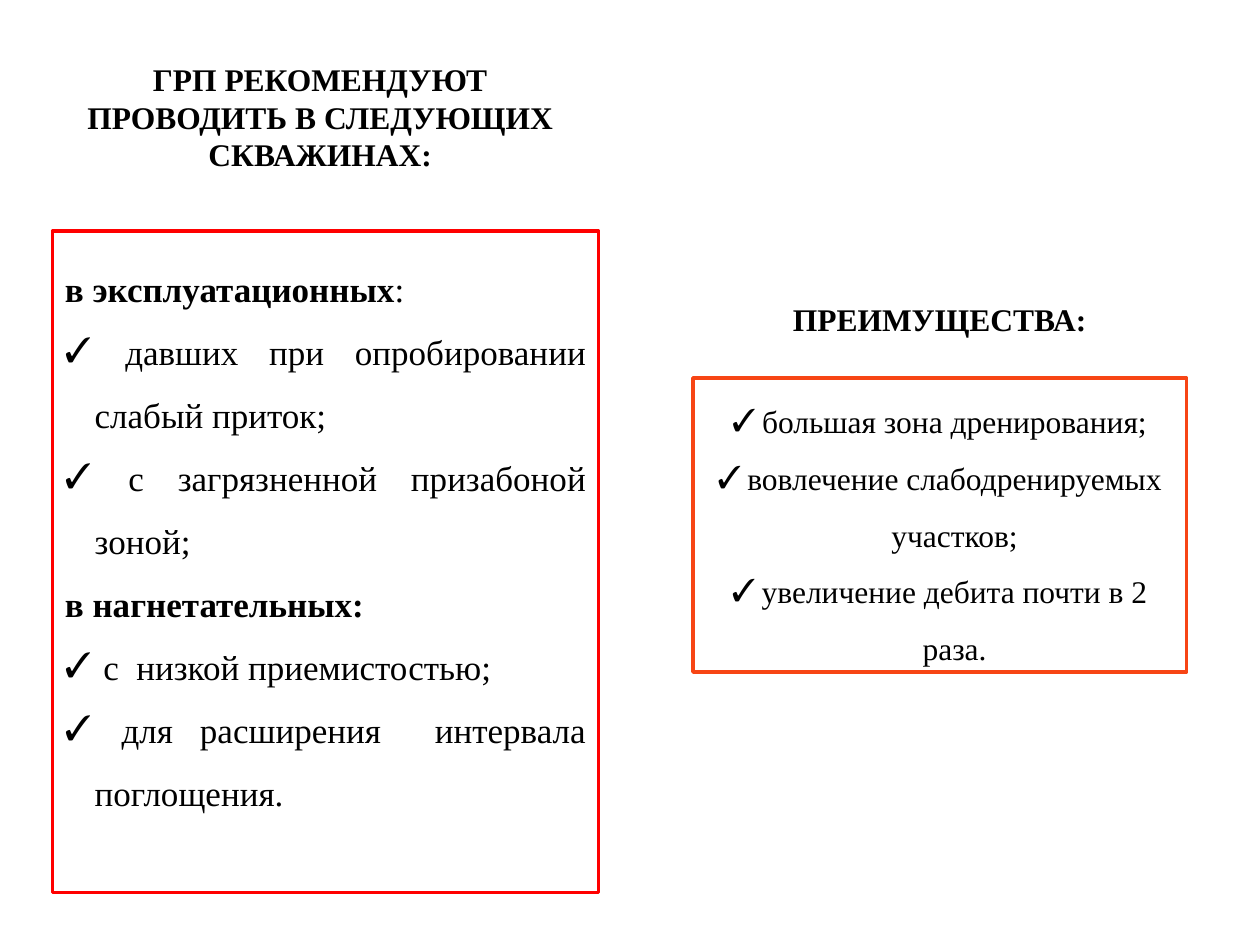
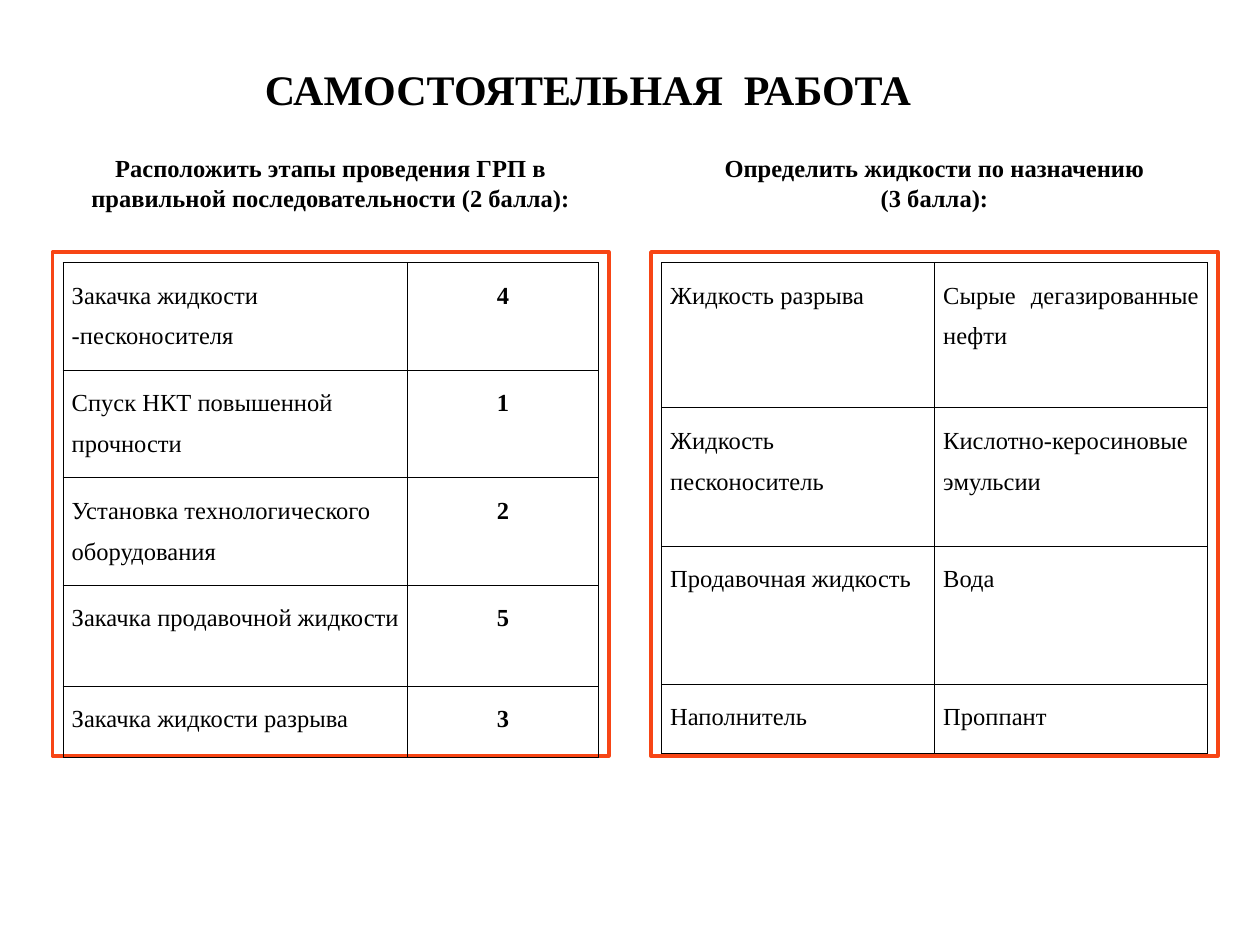
"""Two slides on hydraulic fracturing: where it applies, and a self-study task."""
from lxml import etree
from pptx import Presentation
from pptx.dml.color import RGBColor
from pptx.enum.shapes import MSO_SHAPE
from pptx.enum.text import MSO_ANCHOR, MSO_AUTO_SIZE, PP_ALIGN
from pptx.oxml.ns import qn
from pptx.util import Pt

RECTANGLE = MSO_SHAPE.RECTANGLE
TOP, MIDDLE = MSO_ANCHOR.TOP, MSO_ANCHOR.MIDDLE
LEFT, CENTER, JUSTIFY = PP_ALIGN.LEFT, PP_ALIGN.CENTER, PP_ALIGN.JUSTIFY
NO_AUTOFIT = MSO_AUTO_SIZE.NONE

BLACK = RGBColor(0x00, 0x00, 0x00)
WHITE = RGBColor(0xFF, 0xFF, 0xFF)
RED = RGBColor(0xFF, 0x00, 0x00)
ORANGE = RGBColor(0xF7, 0x45, 0x15)
FONT = "Times New Roman"
TITLE_ONLY = 5
HANGING = 17
MARGIN_X, MARGIN_Y = 7.2, 3.6
CELL_MARGIN = 5
BORDER_WIDTH = 0.45

WELLS = (
    ("в эксплуатационных", ":",
     (" давших при опробировании слабый приток;",
      " с загрязненной призабоной зоной;")),
    ("в нагнетательных:", "",
     (" с  низкой приемистостью;",
      " для расширения  интервала поглощения.")),
)
ADVANTAGES = (
    "большая зона дренирования;",
    "вовлечение слабодренируемых участков;",
    "увеличение дебита почти в 2 раза.",
)
STAGES = (
    ("Закачка жидкости -песконосителя", "4"),
    ("Спуск НКТ повышенной прочности", "1"),
    ("Установка технологического оборудования", "2"),
    ("Закачка продавочной жидкости", "5"),
    ("Закачка жидкости разрыва", "3"),
)
FLUIDS = (
    ("Жидкость разрыва", "Сырые дегазированные нефти"),
    ("Жидкость песконоситель", "Кислотно-керосиновые эмульсии"),
    ("Продавочная жидкость", "Вода"),
    ("Наполнитель", "Проппант"),
)


def points(*lengths):
    """Convert numbers to point lengths."""
    return [Pt(length) for length in lengths]


def add_run(paragraph, text, size, bold=False):
    """Append a run in the common typeface."""
    run = paragraph.add_run()
    run.text = text
    run.font.name = FONT
    run.font.size = Pt(size)
    run.font.bold = bold
    run.font.color.rgb = BLACK


def add_check_mark(paragraph):
    """Give the paragraph a hanging check-mark bullet."""
    properties = paragraph._p.get_or_add_pPr()
    properties.set("marL", str(Pt(HANGING)))
    properties.set("indent", str(-Pt(HANGING)))
    color = etree.SubElement(properties, qn("a:buClr"))
    etree.SubElement(color, qn("a:srgbClr"), val=str(BLACK))
    etree.SubElement(properties, qn("a:buFont"), typeface=FONT)
    etree.SubElement(properties, qn("a:buChar"), char="✓")


def write(frame, text, size=14, bold=False, align=CENTER, spacing=1.0, check=False):
    """Write one paragraph into the frame and return it."""
    paragraph = frame.paragraphs[0]
    if paragraph.runs:
        paragraph = frame.add_paragraph()
    if check:
        add_check_mark(paragraph)
    paragraph.alignment = align
    paragraph.line_spacing = spacing
    add_run(paragraph, text, size, bold)
    return paragraph


def prepare(frame, anchor):
    """Set wrapping, anchor and margins of a text frame."""
    frame.word_wrap = True
    frame.auto_size = NO_AUTOFIT
    frame.vertical_anchor = anchor
    frame.margin_left = frame.margin_right = Pt(MARGIN_X)
    frame.margin_top = frame.margin_bottom = Pt(MARGIN_Y)
    return frame


def set_title(slide, text, place, anchor=MIDDLE, **text_format):
    """Move and fill the slide's title placeholder."""
    title = slide.shapes.title
    title.left, title.top, title.width, title.height = points(*place)
    write(prepare(title.text_frame, anchor), text, bold=True, **text_format)


def add_heading(slide, lines, place, anchor=MIDDLE, size=14):
    """Add a bold centred heading above a frame."""
    frame = prepare(slide.shapes.add_textbox(*points(*place)).text_frame, anchor)
    for line in lines:
        write(frame, line, size=size, bold=True)


def add_panel(slide, place, color):
    """Add a white outlined rectangle and return its text frame."""
    panel = slide.shapes.add_shape(RECTANGLE, *points(*place))
    panel.shadow.inherit = False
    panel.fill.solid()
    panel.fill.fore_color.rgb = WHITE
    panel.line.color.rgb = color
    panel.line.width = Pt(2)
    return prepare(panel.text_frame, MIDDLE)


def outline(cell):
    """Draw thin black borders round a cell and clear its fill."""
    properties = cell._tc.get_or_add_tcPr()
    for side in ("lnL", "lnR", "lnT", "lnB"):
        line = etree.SubElement(properties, qn(f"a:{side}"), w=str(Pt(BORDER_WIDTH)))
        fill = etree.SubElement(line, qn("a:solidFill"))
        etree.SubElement(fill, qn("a:srgbClr"), val=str(BLACK))
    cell.fill.background()


def add_grid(slide, rows, corner, widths, heights, column_formats):
    """Add a bordered table whose columns each have a text format."""
    place = points(*corner, sum(widths), sum(heights))
    table = slide.shapes.add_table(len(rows), len(widths), *place).table
    table.first_row = table.horz_banding = False
    for column, width in zip(table.columns, widths):
        column.width = Pt(width)
    for row, height, texts in zip(table.rows, heights, rows):
        row.height = Pt(height)
        for cell, text, text_format in zip(row.cells, texts, column_formats):
            cell.margin_left = cell.margin_right = Pt(CELL_MARGIN)
            cell.margin_top = cell.margin_bottom = Pt(MARGIN_Y)
            outline(cell)
            write(cell.text_frame, text, spacing=1.5, **text_format)


def build_recommendations(slide):
    """Fill the slide on suitable wells and advantages."""
    set_title(slide, "ГРП РЕКОМЕНДУЮТ ПРОВОДИТЬ В СЛЕДУЮЩИХ СКВАЖИНАХ:",
              (30, 21.6, 306, 90), size=18)
    wells = add_panel(slide, (30, 132, 312, 378), RED)
    wells.margin_bottom = Pt(40.4)
    body = {"size": 20, "align": JUSTIFY, "spacing": 1.5}
    for kind, ending, conditions in WELLS:
        heading = write(wells, kind, bold=True, **body)
        if ending:
            add_run(heading, ending, body["size"])
        for condition in conditions:
            write(wells, condition, check=True, **body)

    add_heading(slide, ["ПРЕИМУЩЕСТВА:"], (396, 168, 282, 29), TOP, size=18)
    advantages = add_panel(slide, (396, 216, 282, 168), ORANGE)
    for advantage in ADVANTAGES:
        write(advantages, advantage, size=18, spacing=1.5, check=True)


def build_self_study(slide):
    """Fill the slide with the two self-study tasks."""
    set_title(slide, "САМОСТОЯТЕЛЬНАЯ  РАБОТА", (120, 18, 432, 50.4), TOP,
              size=24, spacing=1.5)
    add_panel(slide, (30, 144, 318, 288), ORANGE)
    add_grid(slide, STAGES, (36, 150), (197, 109), (61.5, 61.5, 61.5, 57.5, 41),
             ({"align": LEFT}, {"bold": True}))
    add_heading(slide, ["Расположить этапы проведения ГРП в правильной "
                        "последовательности (2 балла):"], (30, 84, 318, 41))
    add_panel(slide, (372, 144, 324, 288), ORANGE)
    add_grid(slide, FLUIDS, (378, 150), (156, 156), (83, 79, 79, 39.5),
             ({"align": JUSTIFY}, {"align": JUSTIFY}))
    add_heading(slide, ["Определить жидкости по назначению", "(3 балла):"],
                (378, 84, 312, 41))


def main():
    """Build both slides and save the presentation."""
    presentation = Presentation()
    presentation.slide_width, presentation.slide_height = points(720, 540)
    layout = presentation.slide_layouts[TITLE_ONLY]
    for build in (build_recommendations, build_self_study):
        build(presentation.slides.add_slide(layout))
    presentation.save("out.pptx")


if __name__ == "__main__":
    main()
